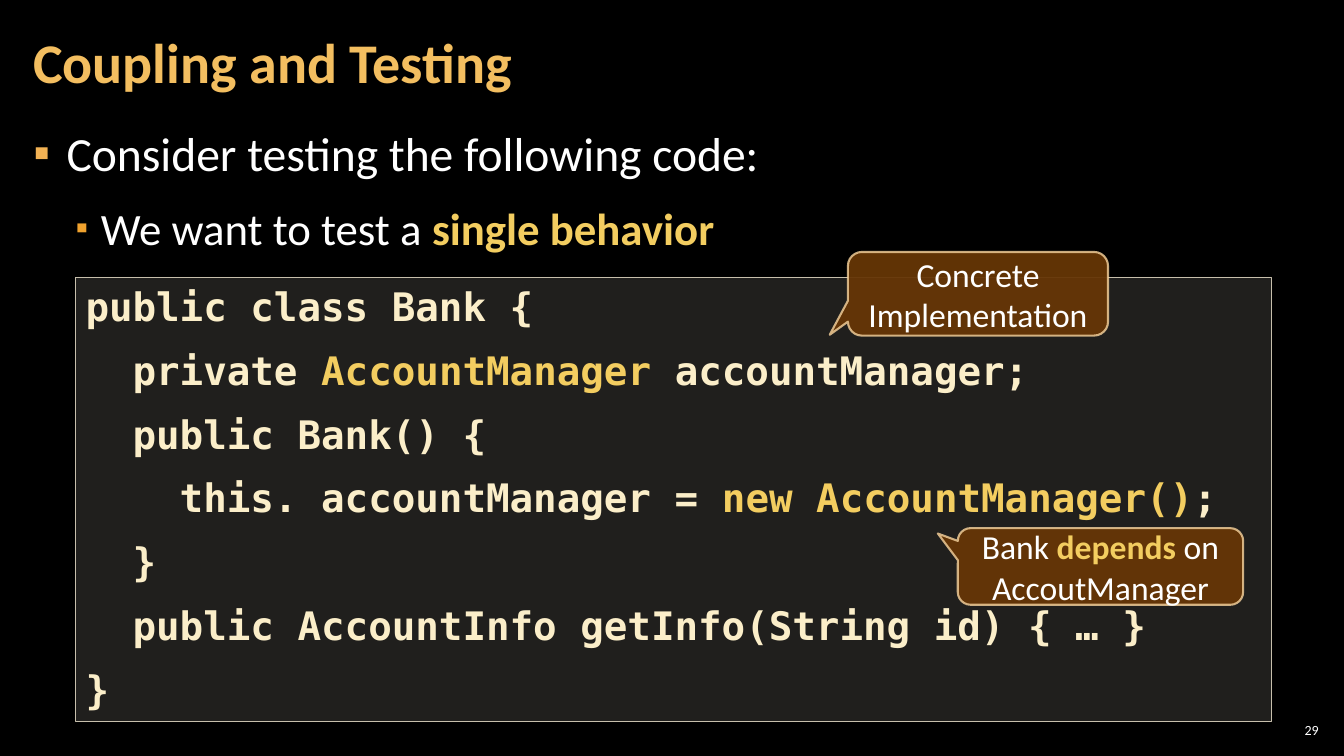
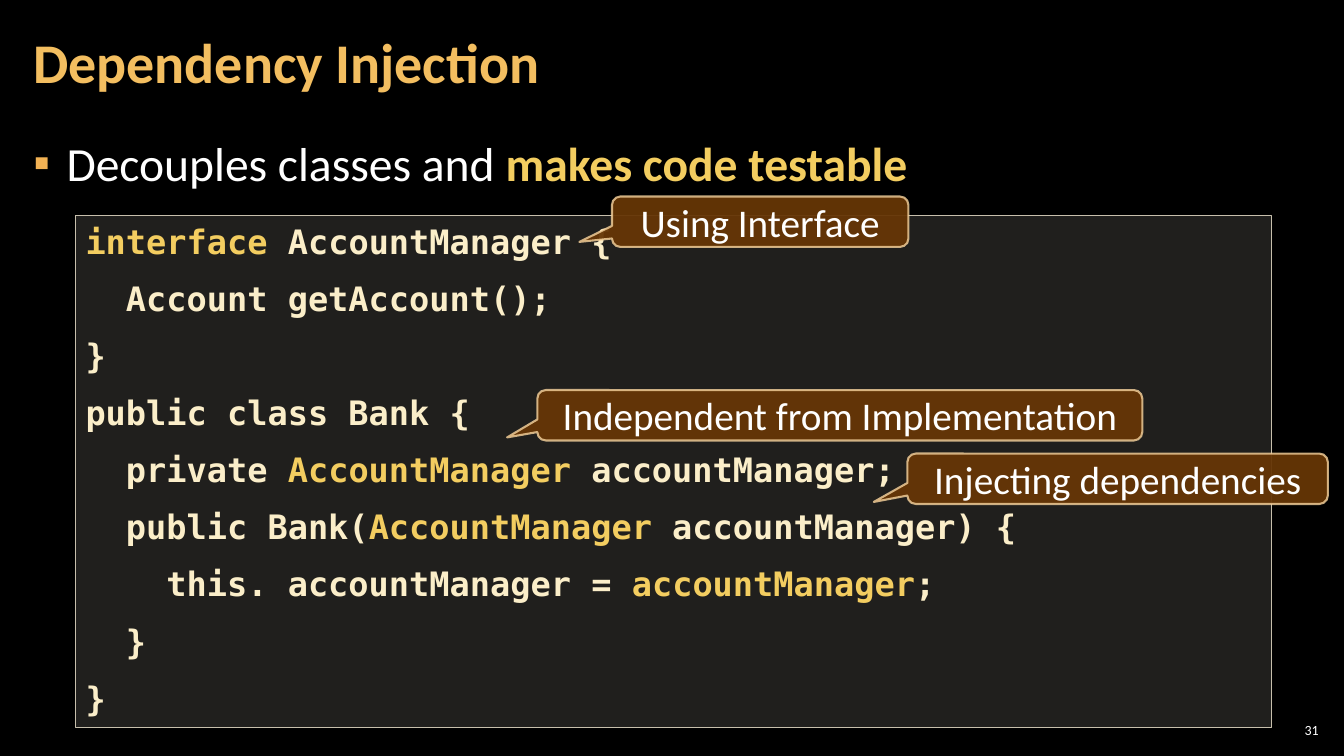
from lxml import etree
from pptx import Presentation
from pptx.dml.color import RGBColor
from pptx.enum.shapes import MSO_SHAPE
from pptx.enum.text import MSO_ANCHOR, PP_ALIGN
from pptx.oxml.ns import qn
from pptx.util import Inches, Pt

RECTANGLE = MSO_SHAPE.RECTANGLE
CALLOUT = MSO_SHAPE.ROUNDED_RECTANGULAR_CALLOUT
TOP, MIDDLE = MSO_ANCHOR.TOP, MSO_ANCHOR.MIDDLE
LEFT, CENTER, RIGHT = PP_ALIGN.LEFT, PP_ALIGN.CENTER, PP_ALIGN.RIGHT

COLORS = {
    "background": "000000", "text": "FFFFFF", "title": "F3BE60",
    "accent": "F3CD60", "code": "FBEEC9", "panel": "D9D5C7",
    "panel_line": "C7BFAC", "callout": "663606", "callout_line": "F8D49E",
}
SANS, MONO = "Calibri", "DejaVu Sans Mono"
WIDTH, HEIGHT = 13.33, 7.5
MARGIN = 0.21
BODY_WIDTH, BODY_HEIGHT = 12.91, 6.09
CODE_LEFT, CODE_WIDTH = 0.75, 11.86
TEXT_INSETS = (0.12, 0.04)
SHAPE_INSETS = (0.1, 0.05)
NUMBER_INSETS = (0.04, 0.04)
LEVELS = [
    {"size": 34, "indent": 0.33, "hang": 0.33, "color": "F2B254", "scale": 100},
    {"size": 32, "indent": 0.67, "hang": 0.25, "color": "F0A22E", "scale": 80},
]

SLIDES = [
    {
        "title": "Coupling and Testing",
        "number": "29",
        "body_top": 1.16,
        "bullets": [
            (0, "Consider testing the following code:"),
            (1, "We want to test a *single behavior*"),
        ],
        "code_top": 2.75, "code_height": 4.41, "code_size": 28,
        "code": [
            "public class Bank {",
            "  private *AccountManager* accountManager;",
            "  public Bank() {",
            "    this. accountManager = *new AccountManager()*;",
            "  }",
            "  public AccountInfo getInfo(String id) { … }",
            "}",
        ],
        "callout_size": 24,
        "callouts": [
            ("Bank *depends* on AccoutManager", (9.5, 5.24, 2.83, 0.76), (-0.57, -0.43)),
            ("Concrete Implementation", (8.41, 2.5, 2.58, 0.83), (-0.57, 0.49)),
        ],
    },
    {
        "title": "Dependency Injection",
        "number": "31",
        "body_top": 1.26,
        "bullets": [(0, "Decouples classes and *makes code testable*")],
        "code_top": 2.14, "code_height": 5.08, "code_size": 24,
        "code": [
            "*interface* AccountManager {",
            "  Account getAccount();",
            "}",
            "public class Bank {",
            "  private *AccountManager* accountManager;",
            "  public Bank(*AccountManager* accountManager) {",
            "    this. accountManager = *accountManager*;",
            "  }",
            "}",
        ],
        "callout_size": 28,
        "callouts": [
            ("Using Interface", (6.07, 1.95, 2.94, 0.5), (-0.61, 0.4)),
            ("Injecting dependencies", (9, 4.5, 4.17, 0.5), (-0.58, 0.46)),
            ("Independent from Implementation", (5.33, 3.87, 6, 0.5), (-0.55, 0.44)),
        ],
    },
]


def rgb(name):
    return RGBColor.from_string(COLORS[name])


def set_alpha(fill_parent, percent):
    color = fill_parent.find(qn("a:solidFill"))[0]
    etree.SubElement(color, qn("a:alpha"), val=str(percent * 1000))


def set_frame(shape, insets, anchor=TOP):
    frame = shape.text_frame
    frame.word_wrap = True
    frame.vertical_anchor = anchor
    frame.margin_left = frame.margin_right = Inches(insets[0])
    frame.margin_top = frame.margin_bottom = Inches(insets[1])
    return frame


def add_bullet(para, level):
    props = para._p.get_or_add_pPr()
    props.set("marL", str(Inches(level["indent"])))
    props.set("indent", str(-Inches(level["hang"])))
    color = etree.SubElement(props, qn("a:buClr"))
    etree.SubElement(color, qn("a:srgbClr"), val=level["color"])
    etree.SubElement(props, qn("a:buSzPct"), val=str(level["scale"] * 1000))
    etree.SubElement(props, qn("a:buFont"), typeface="Arial")
    etree.SubElement(props, qn("a:buChar"), char="▪")


def write(frame, text, size, color="text", font=SANS, bold=False, align=LEFT,
          spacing=1.0, before=0, after=0, level=None):
    first = not frame.paragraphs[0].runs
    para = frame.paragraphs[0] if first else frame.add_paragraph()
    para.alignment = align
    para.line_spacing = spacing
    para.space_before = Pt(0 if first else before)
    para.space_after = Pt(after)
    if level:
        add_bullet(para, level)
    for index, part in enumerate(text.split("*")):
        if not part:
            continue
        accented = index % 2 == 1
        span = para.add_run()
        span.text = part
        span.font.name = font
        span.font.size = Pt(size)
        span.font.bold = bold or accented
        span.font.color.rgb = rgb("accent" if accented else color)


def add_text_box(page, area, insets=TEXT_INSETS, anchor=TOP):
    box = page.shapes.add_textbox(*map(Inches, area))
    return set_frame(box, insets, anchor)


def add_panel(page, kind, area, name, alpha, line_width, anchor=TOP):
    shape = page.shapes.add_shape(kind, *map(Inches, area))
    shape.shadow.inherit = False
    shape.fill.solid()
    shape.fill.fore_color.rgb = rgb(name)
    set_alpha(shape._element.spPr, alpha)
    shape.line.color.rgb = rgb(name + "_line")
    shape.line.width = Pt(line_width)
    return shape, set_frame(shape, SHAPE_INSETS, anchor)


def add_code(page, content):
    area = (CODE_LEFT, content["code_top"], CODE_WIDTH, content["code_height"])
    shape, frame = add_panel(page, RECTANGLE, area, "panel", 15, 1)
    for line in content["code"]:
        write(frame, line, content["code_size"], color="code", font=MONO,
              bold=True, before=12)


def add_callout(page, text, area, tip, size):
    shape, frame = add_panel(page, CALLOUT, area, "callout", 95, 1.5, MIDDLE)
    set_alpha(shape.line._get_or_add_ln(), 80)
    shape.adjustments[0], shape.adjustments[1] = tip
    write(frame, text, size, align=CENTER)


def build_slide(deck, content):
    page = deck.slides.add_slide(deck.slide_layouts[6])
    body = add_text_box(page, (MARGIN, content["body_top"], BODY_WIDTH, BODY_HEIGHT))
    for depth, text in content["bullets"]:
        level = LEVELS[depth]
        write(body, text, level["size"], spacing=1.05, before=6, after=6, level=level)
    number = add_text_box(page, (12.65, 7.14, 0.47, 0.21), NUMBER_INSETS, MIDDLE)
    write(number, content["number"], 10, align=RIGHT)
    title = add_text_box(page, (MARGIN, 0.04, 10.47, 1.21), anchor=MIDDLE)
    write(title, content["title"], 40, color="title", bold=True, spacing=0.9)
    add_code(page, content)
    for text, area, tip in content["callouts"]:
        add_callout(page, text, area, tip, content["callout_size"])


def main():
    deck = Presentation()
    deck.slide_width, deck.slide_height = Inches(WIDTH), Inches(HEIGHT)
    background = deck.slide_master.background.fill
    background.solid()
    background.fore_color.rgb = rgb("background")
    for content in SLIDES:
        build_slide(deck, content)
    deck.save("out.pptx")


if __name__ == "__main__":
    main()
